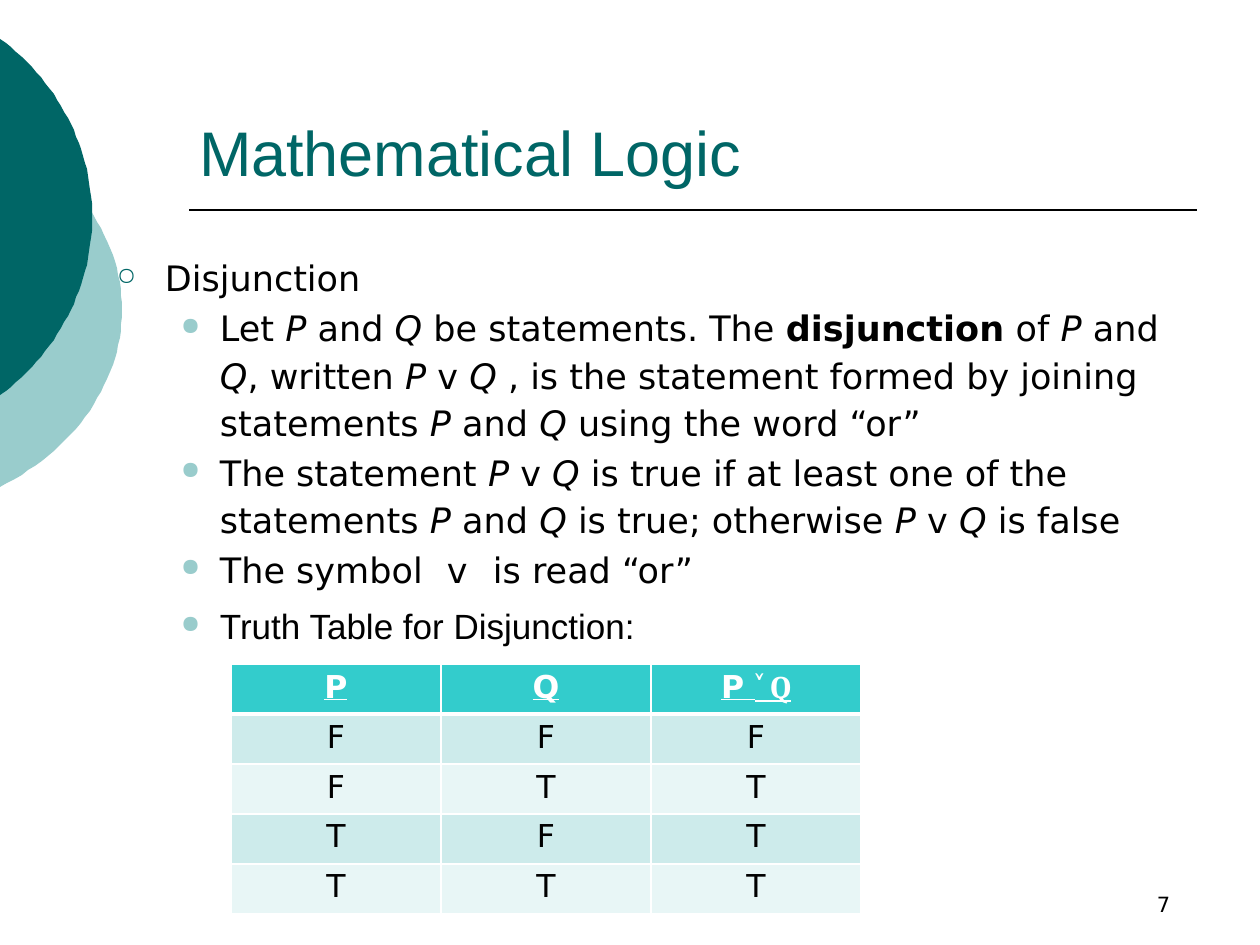
"""Build the Mathematical Logic slide on disjunction with its truth table."""
import math

from lxml import etree
from pptx import Presentation
from pptx.dml.color import RGBColor
from pptx.enum.shapes import MSO_CONNECTOR
from pptx.enum.text import PP_ALIGN
from pptx.oxml.ns import qn
from pptx.util import Pt

LINE = MSO_CONNECTOR.STRAIGHT
CENTER = PP_ALIGN.CENTER
SCALE = 914400 / 126

THEME = {
    "teal": "006666", "mint": "99CCCC", "black": "000000", "white": "FFFFFF",
    "header": "33CCCC", "bands": ("CDEBEB", "E8F6F6"),
    "title": 36, "body": 20, "cell": 18, "number": 12,
    "sans": "Arial", "text": "DejaVu Sans", "serif": "Cambria",
}


def px(n):
    return round(n * SCALE)


def add_runs(p, text, color="black", **fmt):
    for part in text.split("|"):
        r = p.add_run()
        r.text = part
        word = part.strip()
        style = {"italic": word in ("P", "Q"), "bold": word == "disjunction", **fmt}
        for name, value in style.items():
            setattr(r.font, name, value)
        r.font.color.rgb = RGBColor.from_string(THEME[color])


prs = Presentation()
prs.slide_width, prs.slide_height = px(1260), px(945)
s = prs.slides.add_slide(prs.slide_layouts[6])

for cy, rx, ry, color in ((310, 268, 211, "mint"), (217, 238, 226, "teal")):
    cx = -146
    end = math.acos(-cx / rx)
    angles = [end * (i / 30 - 1) for i in range(61)]
    points = [(cx + rx * math.cos(a), cy + ry * math.sin(a)) for a in angles]
    builder = s.shapes.build_freeform(*points[0], scale=SCALE)
    builder.add_line_segments(points[1:], close=True)
    sp = builder.convert_to_shape()
    sp.shadow.inherit = False
    sp.fill.solid()
    sp.fill.fore_color.rgb = RGBColor.from_string(THEME[color])
    sp.line.fill.background()

rule = s.shapes.add_connector(LINE, px(189), px(210), px(1197), px(210))
rule.line.color.rgb = RGBColor.from_string(THEME["black"])
rule.line.width = Pt(0.96)
etree.SubElement(rule._element.spPr, qn("a:effectLst"))

frames = {}
for name, x, y, w, h, top in (
    ("title", 199, 113, 660, 79, 1),
    ("number", 1152, 891, 48, 29, 1),
    ("body", 116, 249, 1060, 391, 8),
):
    tf = s.shapes.add_textbox(px(x), px(y), px(w), px(h)).text_frame
    insets = {"margin_left": 0, "margin_right": 0, "margin_top": px(top), "margin_bottom": 0}
    for attr, value in {"word_wrap": True, **insets}.items():
        setattr(tf, attr, value)
    frames[name] = tf

p = frames["title"].paragraphs[0]
p.space_before = Pt(1)
add_runs(p, "Mathematical Logic", "teal", size=Pt(THEME["title"]), name=THEME["sans"])

p = frames["number"].paragraphs[0]
p.space_before = Pt(1)
p._p.get_or_add_pPr().set("marL", str(px(5)))
add_runs(p, "7", size=Pt(THEME["number"]), name=THEME["text"])

top_level = {"level": 0, "space_before": Pt(4.6)}
sub_level = {"level": 1, "space_before": Pt(1.2), "line_spacing": 1.13}
bullets = (
    ("Disjunction", "text", top_level),
    ("Let |P| and |Q| be statements. The |disjunction| of |P| and |Q|, written |P| v |Q"
     "| , is the statement formed by joining statements |P| and |Q| using the word “or”",
     "text", sub_level),
    ("The statement |P| v |Q| is true if at least one of the statements |P| and |Q"
     "| is true; otherwise |P| v |Q| is false", "text", sub_level),
    ("The symbol\tv\tis read “or”", "text", sub_level),
    ("Truth Table for Disjunction:", "sans", {**sub_level, "space_before": Pt(5)}),
)
levels = ((49, -48, "teal", "○"), (104, -39, "mint", "●"))
tf = frames["body"]
for i, (text, font, fmt) in enumerate(bullets):
    p = tf.add_paragraph() if i else tf.paragraphs[0]
    for attr, value in fmt.items():
        setattr(p, attr, value)
    margin, indent, color, mark = levels[p.level]
    pPr = p._p.get_or_add_pPr()
    pPr.set("marL", str(px(margin)))
    pPr.set("indent", str(px(indent)))
    bu_color = etree.SubElement(pPr, qn("a:buClr"))
    etree.SubElement(bu_color, qn("a:srgbClr"), val=THEME[color])
    etree.SubElement(pPr, qn("a:buSzPct"), val="70000")
    etree.SubElement(pPr, qn("a:buChar"), char=mark)
    if "\t" in text:
        tabs = etree.SubElement(pPr, qn("a:tabLst"))
        for stop in (331, 377):
            etree.SubElement(tabs, qn("a:tab"), pos=str(px(stop)), algn="l")
    add_runs(p, text, size=Pt(THEME["body"]), name=THEME[font])

rows = (("P", "Q", "P "), "FFF", "FTT", "TFT", "TTT")
table = s.shapes.add_table(5, 3, px(231), px(664), px(630), px(252)).table
for col in table.columns:
    col.width = px(210)
for i, row in enumerate(rows):
    table.rows[i].height = px(50)
    fill = THEME["bands"][(i - 1) % 2] if i else THEME["header"]
    edges = {"lnL": 1, "lnR": 1, "lnT": 3 if i == 1 else 1, "lnB": 1 if i else 3}
    for j, text in enumerate(row):
        cell = table.cell(i, j)
        for side, inset in {"left": 0, "right": 0, "top": 5, "bottom": 0}.items():
            setattr(cell, f"margin_{side}", px(inset))
        cell.fill.solid()
        cell.fill.fore_color.rgb = RGBColor.from_string(fill)
        tcPr = cell._tc.get_or_add_tcPr()
        for k, (tag, width) in enumerate(edges.items()):
            ln = etree.Element(qn(f"a:{tag}"), w=str(Pt(width)))
            solid = etree.SubElement(ln, qn("a:solidFill"))
            etree.SubElement(solid, qn("a:srgbClr"), val=THEME["white"])
            tcPr.insert(k, ln)
        p = cell.text_frame.paragraphs[0]
        p.alignment = CENTER
        p.space_before = Pt(3.5)
        header = i == 0
        fmt = {"size": Pt(THEME["cell"]), "bold": header, "underline": header, "italic": False}
        color = "white" if header else "black"
        add_runs(p, text, color, name=THEME["text"], **fmt)
        if header and j == 2:
            add_runs(p, "˅ Q", color, name=THEME["serif"], **fmt)

prs.save("out.pptx")
